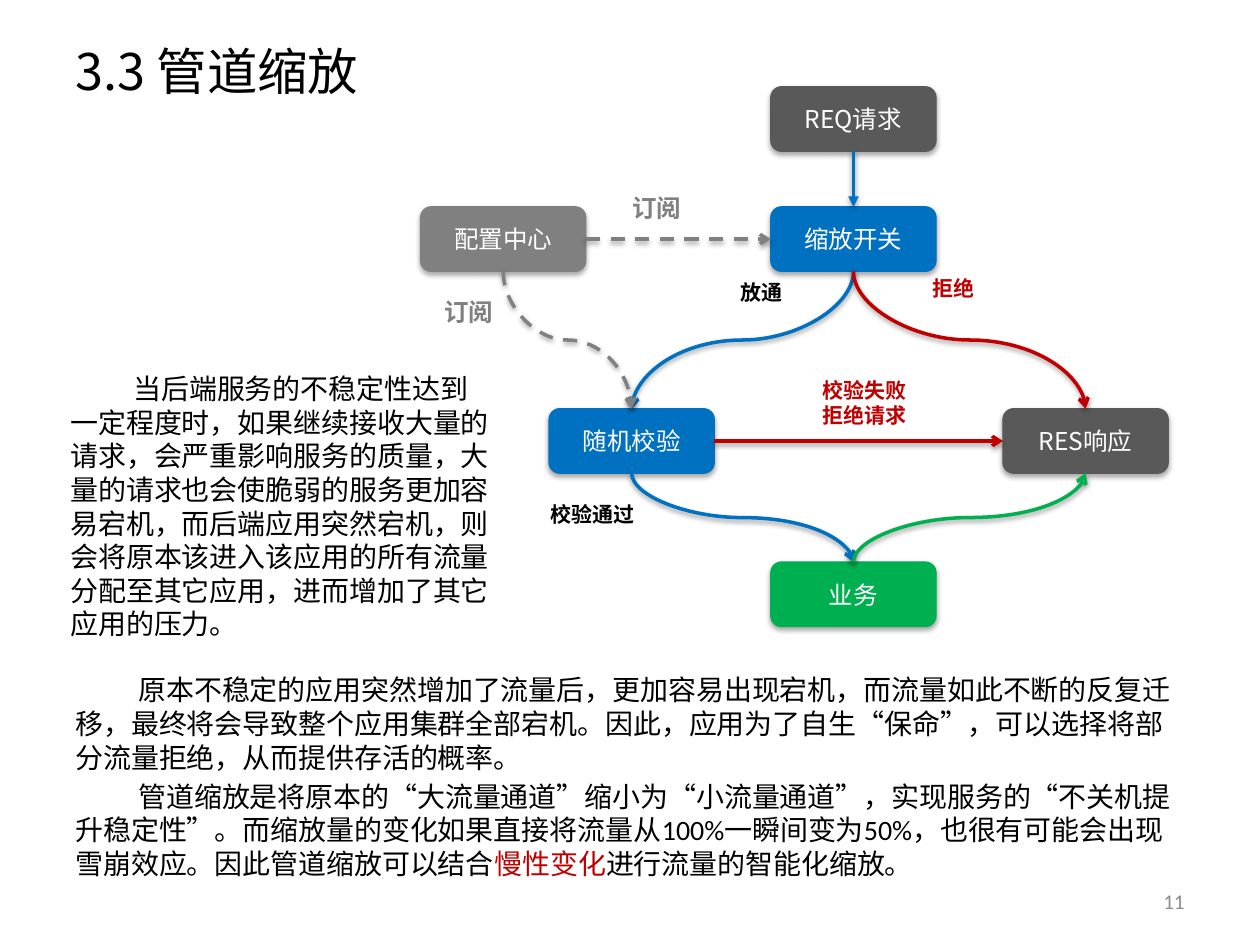
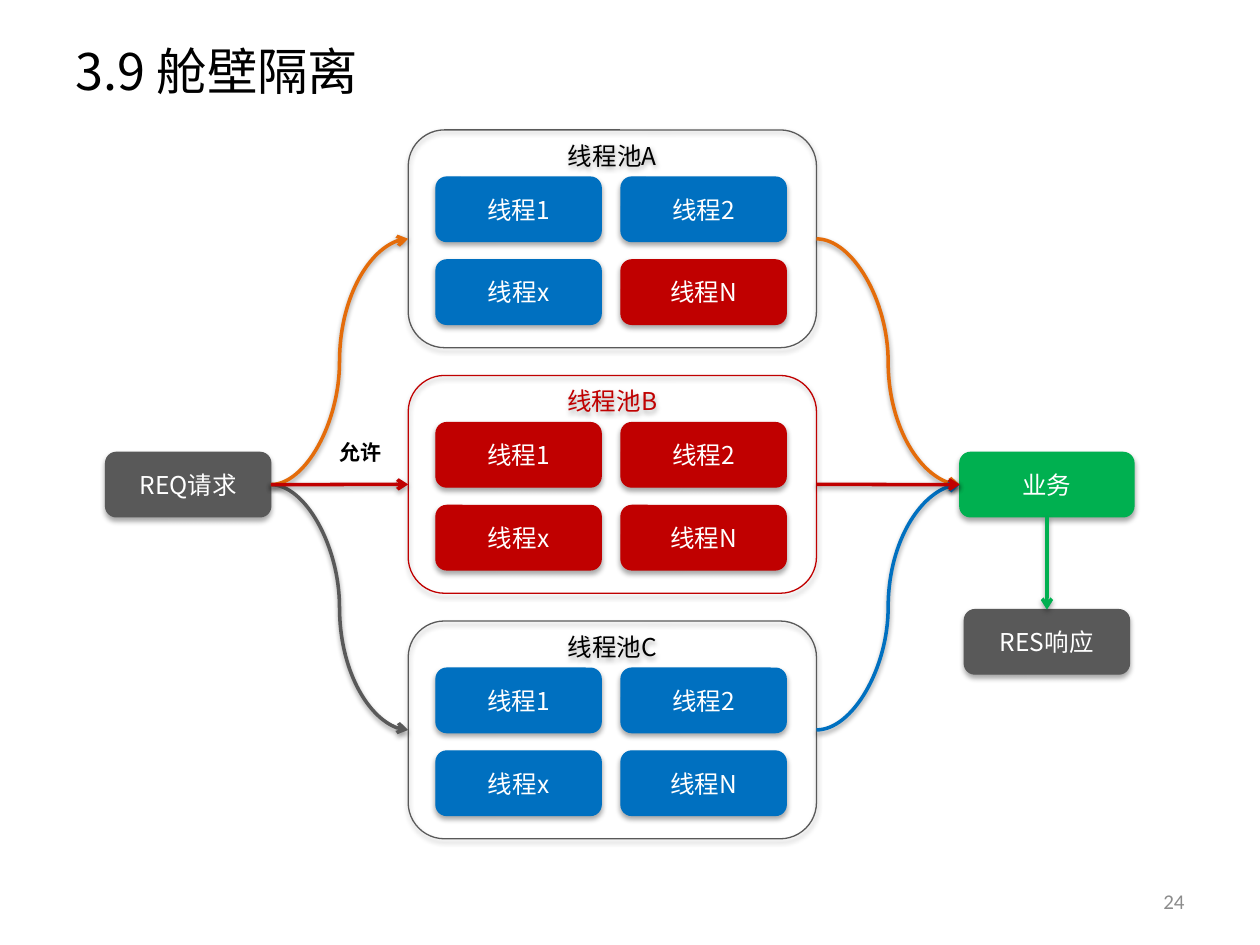
from lxml.etree import SubElement
from pptx import Presentation
from pptx.dml.color import RGBColor
from pptx.enum.dml import MSO_LINE
from pptx.enum.shapes import MSO_CONNECTOR, MSO_SHAPE
from pptx.enum.text import MSO_ANCHOR, PP_ALIGN
from pptx.oxml.ns import qn
from pptx.util import Cm, Pt

ROUNDED = MSO_SHAPE.ROUNDED_RECTANGLE
STRAIGHT, CURVE = MSO_CONNECTOR.STRAIGHT, MSO_CONNECTOR.CURVE
DASH = MSO_LINE.DASH
TOP_ANCHOR, MIDDLE = MSO_ANCHOR.TOP, MSO_ANCHOR.MIDDLE
LEFT_ALIGN, CENTER, RIGHT_ALIGN = PP_ALIGN.LEFT, PP_ALIGN.CENTER, PP_ALIGN.RIGHT
TOP, LEFT, BOTTOM, RIGHT = range(4)

HEAD_FONT, BODY_FONT = "Noto Sans CJK SC", "Calibri"
BLACK, WHITE, RED, BLUE = "000000", "FFFFFF", "C00000", "0070C0"
GREEN, ORANGE, DARK, GREY, PALE = "00B050", "E46C0A", "595959", "808080", "8C8C8C"

NODE_W, NODE_H = 3.33, 1.3
POOL_W, POOL_H = 8.23, 4.39
# Rotation and flips of a curve that leaves vertically, by (goes right, goes up)
VERTICAL_TURNS = {
    (False, False): (90, ()),
    (True, False): (270, ("flipH",)),
    (True, True): (90, ("flipH", "flipV")),
}


def rgb(value):
    return RGBColor.from_string(value)


def style(para, size, color, font=HEAD_FONT, bold=False, align=LEFT_ALIGN):
    para.alignment = align
    para.font.size = Pt(size)
    para.font.bold = bold
    para.font.name = font
    para.font.color.rgb = rgb(color)
    defaults = para._p.get_or_add_pPr().find(qn("a:defRPr"))
    SubElement(defaults, qn("a:ea"), typeface=HEAD_FONT)


def add_shadow(effects, opacity, distance):
    shadow = SubElement(effects, qn("a:outerShdw"), blurRad=str(Pt(3.1)),
                        dist=str(Pt(distance)), dir="5400000", rotWithShape="0")
    color = SubElement(shadow, qn("a:srgbClr"), val=BLACK)
    SubElement(color, qn("a:alpha"), val=str(opacity * 1000))


def add_text(page, box, lines, size, color, anchor=TOP_ANCHOR, wrap=True,
             pitch=1.2, **font):
    """Text box with one paragraph per line; pitch is the line height in ems."""
    frame = page.shapes.add_textbox(*map(Cm, box)).text_frame
    frame.word_wrap = wrap
    frame.vertical_anchor = anchor
    for index, line in enumerate(lines):
        para = frame.add_paragraph() if index else frame.paragraphs[0]
        para.text = line
        style(para, size, color, **font)
        if pitch:
            para.line_spacing = Pt(size * pitch)
    return frame


def add_label(page, box, lines, color, size=12):
    add_text(page, box, lines, size, color, wrap=False, bold=True)


def add_body(page, box, lines):
    """Running text whose paragraphs start with an indent."""
    frame = add_text(page, box, lines, 16, BLACK, font=BODY_FONT)
    for index, para in enumerate(frame.paragraphs):
        para._p.get_or_add_pPr().set("indent", str(Cm(1.27)))
        if index:
            para.space_before = Pt(3.2)
    return frame


def add_node(holder, left, top, text, color, width=NODE_W, height=NODE_H,
             filled=True, text_color=WHITE):
    node = holder.shapes.add_shape(ROUNDED, *map(Cm, (left, top, width, height)))
    if filled:
        node.fill.solid()
        node.fill.fore_color.rgb = rgb(color)
    else:
        node.fill.background()
    node.line.color.rgb = rgb(color)
    node.line.width = Pt(0.75)
    node.shadow.inherit = False
    add_shadow(node._element.spPr.find(qn("a:effectLst")), 35, 1.8)
    frame = node.text_frame
    frame.vertical_anchor = MIDDLE
    para = frame.paragraphs[0]
    para.text = text
    style(para, 14, text_color, align=CENTER)
    para.line_spacing = Pt(16.8)
    return node


def turn_vertical(link):
    """Make a curved connector leave and arrive vertically."""
    x1, y1, x2, y2 = link.begin_x, link.begin_y, link.end_x, link.end_y
    width, height = abs(y2 - y1), abs(x2 - x1)
    link.left, link.top = (x1 + x2 - width) // 2, (y1 + y2 - height) // 2
    link.width, link.height = width, height
    frame = link._element.spPr.find(qn("a:xfrm"))
    angle, flips = VERTICAL_TURNS[x2 > x1, y2 < y1]
    frame.set("rot", str(angle * 60000))
    for name in ("flipH", "flipV"):
        frame.set(name, str(int(name in flips)))


def add_link(page, start, start_side, end, end_side, color, kind=CURVE,
             dashed=False, head="arrow"):
    link = page.shapes.add_connector(kind, 0, 0, 0, 0)
    link.begin_connect(start, start_side)
    link.end_connect(end, end_side)
    if kind == CURVE and start_side in (TOP, BOTTOM):
        turn_vertical(link)
    link.line.color.rgb = rgb(color)
    link.line.width = Pt(2)
    if dashed:
        link.line.dash_style = DASH
    properties = link._element.spPr
    SubElement(properties.find(qn("a:ln")), qn("a:tailEnd"), type=head)
    add_shadow(SubElement(properties, qn("a:effectLst")), 38, 1.6)


def add_page(deck, title, number):
    page = deck.slides.add_slide(deck.slide_layouts[6])
    add_text(page, (1.27, 0.76, 22.86, 1.3), [title], 28.8, BLACK,
             anchor=MIDDLE, pitch=None)
    add_text(page, (18.21, 17.65, 5.92, 1.02), [number], 12, PALE,
             anchor=MIDDLE, font=BODY_FONT, align=RIGHT_ALIGN)
    return page


def add_scaling_flow(page, left, top):
    request = add_node(page, left + 7.06, top, "REQ请求", DARK)
    switch = add_node(page, left + 7.06, top + 2.42, "缩放开关", BLUE)
    config = add_node(page, left, top + 2.42, "配置中心", GREY)
    check = add_node(page, left + 2.59, top + 6.49, "随机校验", BLUE)
    response = add_node(page, left + 11.74, top + 6.49, "RES响应", DARK)
    service = add_node(page, left + 7.06, top + 9.58, "业务", GREEN)

    add_link(page, request, BOTTOM, switch, TOP, BLUE, STRAIGHT, head="triangle")
    add_link(page, switch, BOTTOM, check, TOP, BLUE)
    add_link(page, switch, BOTTOM, response, TOP, RED)
    add_link(page, check, BOTTOM, service, TOP, BLUE)
    add_link(page, check, RIGHT, response, LEFT, RED, STRAIGHT)
    add_link(page, service, TOP, response, BOTTOM, GREEN)
    add_link(page, config, BOTTOM, check, TOP, GREY, dashed=True)
    add_link(page, config, RIGHT, switch, LEFT, GREY, STRAIGHT, dashed=True)

    add_label(page, (left + 6.2, top + 3.76, 1.37, 0.76), ["放通"], BLACK)
    add_label(page, (left + 10.06, top + 3.69, 1.37, 0.76), ["拒绝"], RED)
    add_label(page, (left + 7.85, top + 5.74, 2.24, 1.27),
              ["校验失败", "拒绝请求"], RED)
    add_label(page, (left + 2.37, top + 8.23, 2.41, 0.76), ["校验通过"], BLACK)
    for x, y in ((4.02, 2.01), (0.23, 4.12)):
        add_label(page, (left + x, top + y, 1.5, 0.86), ["订阅"], GREY, size=14)


def add_pool(page, left, top, name, color, text_color, thread_colors):
    """Thread pool frame around a two by two grid of threads."""
    group = page.shapes.add_group_shape()
    pool = add_node(group, left, top, name, color, POOL_W, POOL_H,
                    filled=False, text_color=text_color)
    pool.text_frame.vertical_anchor = TOP_ANCHOR
    pool.text_frame.margin_top = 0
    for index, (thread, fill) in enumerate(zip("12xN", thread_colors)):
        row, column = divmod(index, 2)
        add_node(group, left + 0.56 + column * 3.73, top + 0.95 + row * 1.67,
                 f"线程{thread}", fill)
    return pool


def build_scaling(deck):
    page = add_page(deck, "3.3 管道缩放", "11")
    add_scaling_flow(page, 8.48, 1.75)
    frame = add_body(page, (1.27, 13.44, 22.86, 4.26), [
        "原本不稳定的应用突然增加了流量后，更加容易出现宕机，而流量如此不断的反复迁移，"
        "最终将会导致整个应用集群全部宕机。因此，应用为了自生“保命”，"
        "可以选择将部分流量拒绝，从而提供存活的概率。",
        "管道缩放是将原本的“大流量通道”缩小为“小流量通道”，实现服务的“不关机提升稳定性”。"
        "而缩放量的变化如果直接将流量从100%一瞬间变为50%，也很有可能会出现雪崩效应。"
        "因此管道缩放可以结合",
    ])
    closing = frame.paragraphs[1]
    emphasis = closing.add_run()
    emphasis.text = "慢性变化"
    emphasis.font.name = HEAD_FONT
    emphasis.font.color.rgb = rgb(RED)
    closing.add_run().text = "进行流量的智能化缩放。"
    add_body(page, (1.17, 7.37, 9.07, 5.59), [
        "当后端服务的不稳定性达到一定程度时，如果继续接收大量的请求，会严重影响服务的质量，"
        "大量的请求也会使脆弱的服务更加容易宕机，而后端应用突然宕机，"
        "则会将原本该进入该应用的所有流量分配至其它应用，进而增加了其它应用的压力。",
    ])


def build_bulkhead(deck):
    page = add_page(deck, "3.9 舱壁隔离", "24")
    request = add_node(page, 2.13, 9.12, "REQ请求", DARK)
    service = add_node(page, 19.35, 9.12, "业务", GREEN, width=3.51)
    response = add_node(page, 19.44, 12.29, "RES响应", DARK)
    pools = [
        ("线程池A", DARK, BLACK, (BLUE, BLUE, BLUE, RED), ORANGE, ORANGE, CURVE),
        ("线程池C", DARK, BLACK, (BLUE,) * 4, DARK, BLUE, CURVE),
        ("线程池B", RED, RED, (RED,) * 4, RED, RED, STRAIGHT),
    ]
    for row, (name, color, text_color, threads, inlet, outlet, kind) in zip(
            (0, 2, 1), pools):
        pool = add_pool(page, 8.23, 2.62 + row * 4.95, name, color, text_color,
                        threads)
        add_link(page, request, RIGHT, pool, LEFT, inlet, kind)
        add_link(page, pool, RIGHT, service, LEFT, outlet, kind)
    add_link(page, service, BOTTOM, response, TOP, GREEN, STRAIGHT)
    add_label(page, (6.6, 8.74, 1.37, 0.76), ["允许"], BLACK)


def main():
    deck = Presentation()
    deck.slide_width, deck.slide_height = Cm(25.4), Cm(19.05)
    build_scaling(deck)
    build_bulkhead(deck)
    deck.save("out.pptx")


if __name__ == "__main__":
    main()
